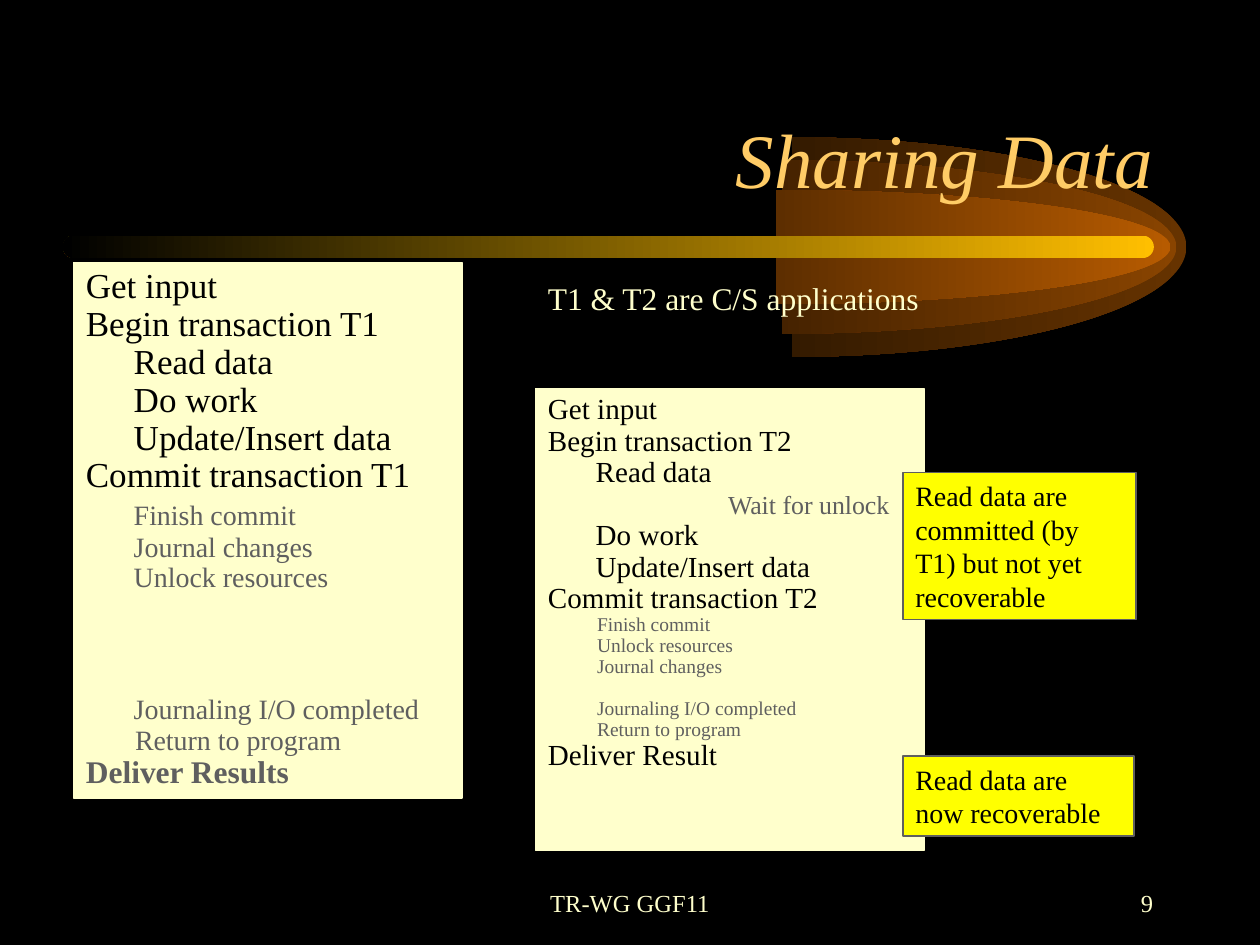
from copy import deepcopy
from math import cos, pi, sin, tan
from typing import NamedTuple

from lxml.etree import SubElement
from pptx import Presentation
from pptx.dml.color import RGBColor
from pptx.enum.shapes import MSO_SHAPE
from pptx.enum.text import MSO_ANCHOR, PP_ALIGN
from pptx.oxml.ns import qn
from pptx.util import Inches, Pt

BLACK = RGBColor(0x00, 0x00, 0x00)
GRAY = RGBColor(0x5F, 0x5F, 0x5F)
CREAM = RGBColor(0xFF, 0xFF, 0xCC)
YELLOW = RGBColor(0xFF, 0xFF, 0x00)
TITLE_GOLD = RGBColor(0xFF, 0xCC, 0x66)
BAR_GOLD = RGBColor(0xFF, 0xBF, 0x00)
OUTER_BROWN = RGBColor(0x66, 0x33, 0x00)
MIDDLE_BROWN = RGBColor(0x89, 0x44, 0x00)
INNER_BROWN = RGBColor(0xB7, 0x5B, 0x00)

FONT = "Times New Roman"
UNIT = Inches(1) // 12  # the slide is a grid of 120 columns by 90 rows


class Box(NamedTuple):
    """A region in grid columns and rows."""
    left: float
    top: float
    width: float
    height: float

    def lengths(self):
        return [round(value * UNIT) for value in self]


class Line(NamedTuple):
    text: str
    size: float
    color: RGBColor = BLACK
    indent: float = 0  # inches
    before: float = 0  # points
    bold: bool = False


def fade_to_left(shape, color):
    shape.shadow.inherit = False
    shape.line.fill.background()
    shape.fill.gradient()
    shape.fill.gradient_angle = 180
    for position, stop in enumerate(shape.fill.gradient_stops):
        stop.color.rgb = (color, BLACK)[position]
        stop.position = position


def add_segment(outline, tag, points):
    segment = SubElement(outline, qn(tag))
    for x, y in points:
        SubElement(segment, qn("a:pt"), x=str(round(x)), y=str(round(y)))


def add_half_ellipse(slide, box, color):
    """The right half of the ellipse that fills the box, as three curves."""
    left, top, width, height = box.lengths()
    right, bottom = left + width, top + height
    builder = slide.shapes.build_freeform(left, top)
    builder.add_line_segments([(right, top), (right, bottom), (left, bottom)])
    shape = builder.convert_to_shape()
    outline = next(shape._element.iter(qn("a:path")))
    for segment in list(outline):
        outline.remove(segment)

    def point(angle, pull=0.0):
        return (width / 2 * (1 + cos(angle) - pull * sin(angle)),
                height / 2 * (1 + sin(angle) + pull * cos(angle)))

    step = pi / 3
    pull = 4 / 3 * tan(step / 4)
    add_segment(outline, "a:moveTo", [point(-pi / 2)])
    for index in range(3):
        start = -pi / 2 + index * step
        end = start + step
        add_segment(outline, "a:cubicBezTo",
                    [point(start, pull), point(end, -pull), point(end)])
    open_arc = deepcopy(outline)
    open_arc.set("fill", "none")
    add_segment(outline, "a:lnTo", [(width / 2, height / 2)])
    SubElement(outline, qn("a:close"))
    outline.addnext(open_arc)
    fade_to_left(shape, color)


def add_comet(slide, box):
    """Three nested half ellipses, each a little further left, and a bar."""
    middle = box.top + box.height / 2
    layers = [(0, 1, OUTER_BROWN), (0.95, 0.79, MIDDLE_BROWN),
              (1.5, 0.52, INNER_BROWN)]
    for shift, share, color in layers:
        height = box.height * share
        layer = Box(box.left - shift, middle - height / 2, box.width, height)
        add_half_ellipse(slide, layer, color)
    bar_box = Box(6, middle - 1.1, 103.9, 2.15)
    bar = slide.shapes.add_shape(MSO_SHAPE.ROUNDED_RECTANGLE, *bar_box.lengths())
    bar.adjustments[0] = 0.5
    fade_to_left(bar, BAR_GOLD)


def add_run(paragraph, text, size, color, bold=False, italic=False):
    run = paragraph.add_run()
    run.text = text
    run.font.name = FONT
    run.font.size = Pt(size)
    run.font.color.rgb = color
    run.font.bold = bold
    run.font.italic = italic


def add_label(slide, box, text, size, color, align=PP_ALIGN.LEFT,
              anchor=MSO_ANCHOR.TOP, italic=False):
    frame = slide.shapes.add_textbox(*box.lengths()).text_frame
    frame.word_wrap = True
    frame.vertical_anchor = anchor
    frame.paragraphs[0].alignment = align
    add_run(frame.paragraphs[0], text, size, color, italic=italic)


def add_panel(slide, box, fill, outline, lines, spacing):
    panel = slide.shapes.add_shape(MSO_SHAPE.RECTANGLE, *box.lengths())
    panel.shadow.inherit = False
    panel.fill.solid()
    panel.fill.fore_color.rgb = fill
    panel.line.color.rgb = outline
    panel.line.width = Pt(1)
    frame = panel.text_frame
    frame.word_wrap = True
    frame.vertical_anchor = MSO_ANCHOR.TOP
    for index, line in enumerate(lines):
        paragraph = frame.add_paragraph() if index else frame.paragraphs[0]
        paragraph.alignment = PP_ALIGN.LEFT
        paragraph.line_spacing = spacing
        if line.before:
            paragraph.space_before = Pt(line.before)
        if line.indent:
            paragraph._p.get_or_add_pPr().set("marL", str(Inches(line.indent)))
        add_run(paragraph, line.text, line.size, line.color, line.bold)


def add_first_transaction(slide, box):
    indent = 0.38
    lines = [
        Line("Get input", 20),
        Line("Begin transaction T1", 20),
        Line("Read data", 20, indent=indent),
        Line("Do work", 20, indent=indent),
        Line("Update/Insert data", 20, indent=indent),
        Line("Commit transaction T1", 20),
        Line("Finish commit", 16, GRAY, indent, 3.4),
        Line("Journal changes", 16, GRAY, indent, 0.9),
        Line("Unlock resources", 16, GRAY, indent),
        Line("Journaling I/O completed", 16, GRAY, indent, 58),
        Line("Return to program", 16, GRAY, 0.39, 0.4),
        Line("Deliver Results", 18, GRAY, bold=True),
    ]
    add_panel(slide, box, CREAM, CREAM, lines, 0.9)


def add_second_transaction(slide, box):
    indent, size, small = 0.38, 16.65, 11.1
    lines = [
        Line("Get input", size),
        Line("Begin transaction T2", size),
        Line("Read data", size, indent=indent),
        Line("Wait for unlock", 14.8, GRAY, 1.43, 1.6),
        Line("Do work", size, indent=indent, before=0.4),
        Line("Update/Insert data", size, indent=indent),
        Line("Commit transaction T2", size),
        Line("Finish commit", small, GRAY, 0.39),
        Line("Unlock resources", small, GRAY, 0.39),
        Line("Journal changes", small, GRAY, 0.39),
        Line("Journaling I/O completed", small, GRAY, 0.39, 12),
        Line("Return to program", small, GRAY, 0.39),
        Line("Deliver Result", size),
    ]
    add_panel(slide, box, CREAM, CREAM, lines, 0.9)


def add_callout(slide, box, text):
    add_panel(slide, box, YELLOW, GRAY, [Line(text, 16)], 1.0)


def main():
    presentation = Presentation()
    presentation.slide_width = 120 * UNIT
    presentation.slide_height = 90 * UNIT
    slide = presentation.slides.add_slide(presentation.slide_layouts[6])
    slide.background.fill.solid()
    slide.background.fill.fore_color.rgb = BLACK

    add_comet(slide, Box(37.9, 13.08, 75.1, 20.9))
    add_label(slide, Box(9, 5, 102, 15), "Sharing Data", 44, TITLE_GOLD,
              PP_ALIGN.RIGHT, MSO_ANCHOR.BOTTOM, italic=True)
    add_first_transaction(slide, Box(7, 25, 37, 51))
    add_second_transaction(slide, Box(51, 37, 37, 44))
    add_callout(slide, Box(86, 45, 22.2, 14),
                "Read data are committed (by T1) but not yet recoverable")
    add_callout(slide, Box(86, 72, 22, 7.65), "Read data are now recoverable")
    add_label(slide, Box(51, 26, 51, 4.8), "T1 & T2 are C/S applications", 18, CREAM)
    add_label(slide, Box(41, 83, 38, 6), "TR-WG GGF11", 14, CREAM,
              PP_ALIGN.CENTER, MSO_ANCHOR.MIDDLE)
    add_label(slide, Box(86, 83, 25, 6), "9", 14, CREAM,
              PP_ALIGN.RIGHT, MSO_ANCHOR.MIDDLE)
    presentation.save("out.pptx")


if __name__ == "__main__":
    main()
